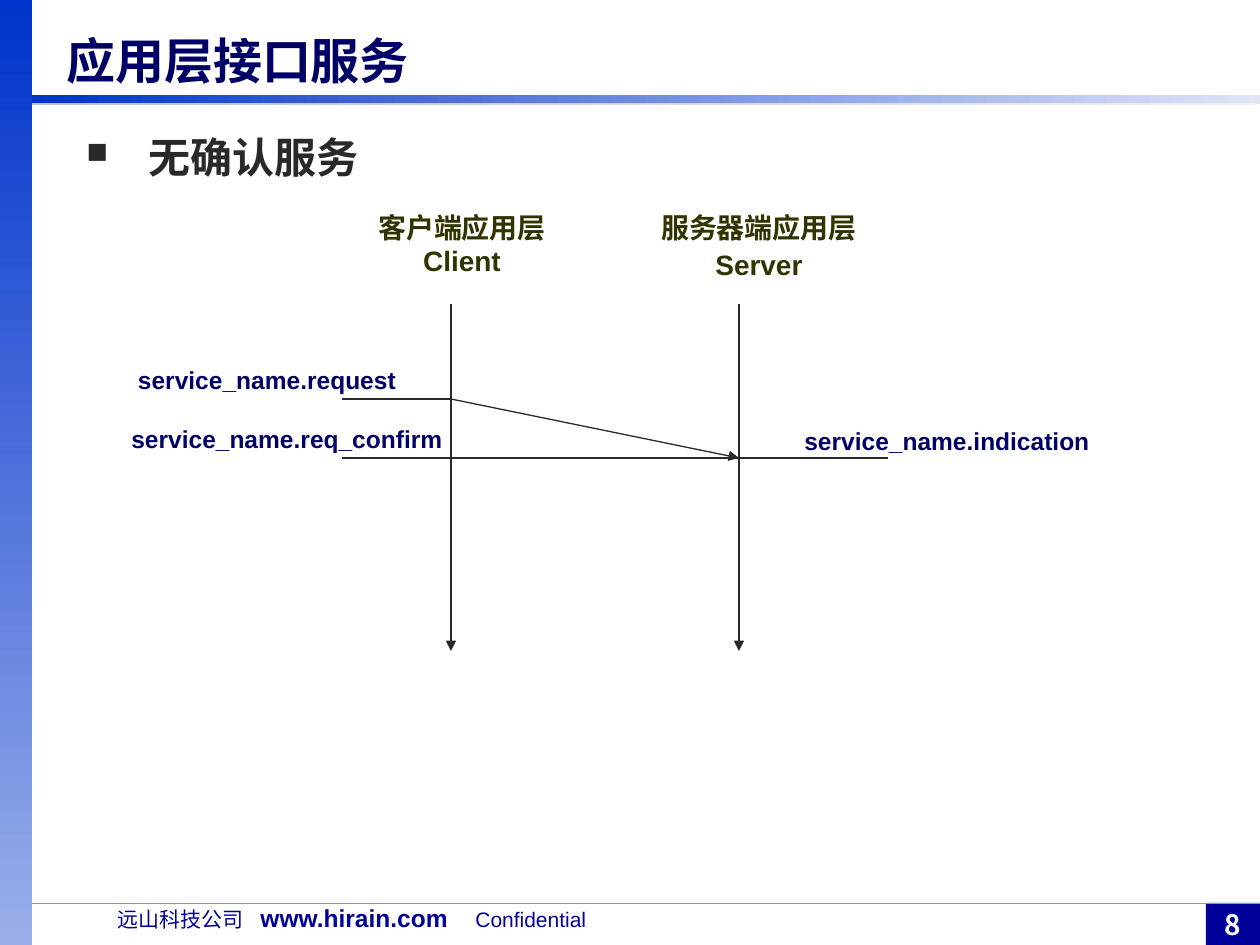
from lxml import etree
from pptx import Presentation, util as u
from pptx.dml.color import RGBColor
from pptx.enum import shapes, text
from pptx.oxml import parse_xml
from pptx.oxml.ns import nsdecls, qn

PX = 914400 / 126
NAVY, BLUE, INK, OLIVE = "000066", "000099", "292929", "333300"
ALIGN, ANCHOR = text.PP_ALIGN, text.MSO_ANCHOR


def px(value):
    return u.Emu(round(value * PX))


def rgb(value):
    return RGBColor.from_string(value)


class SlideBuilder:
    latin = "Arial"
    east_asian = "Noto Sans CJK SC"

    def __init__(self, slide):
        self.slide = slide

    def style(self, font, size, color, bold, face=None):
        font.size, font.bold = u.Pt(size), bold
        font.color.rgb = rgb(color)
        font.name = face or self.latin
        etree.SubElement(font._rPr, qn("a:ea")).set("typeface", self.east_asian)

    def rect(self, box, *colors, angle=0):
        rect = self.slide.shapes.add_shape(
            shapes.MSO_SHAPE.RECTANGLE, *map(px, box))
        rect.shadow.inherit = False
        rect.line.fill.background()
        if len(colors) == 1:
            rect.fill.solid()
            rect.fill.fore_color.rgb = rgb(colors[0])
        else:
            rect.fill.gradient()
            rect.fill.gradient_angle = angle
            for stop, color in zip(rect.fill.gradient_stops, colors):
                stop.color.rgb = rgb(color)
        return rect

    def frame(self, box, anchor=ANCHOR.TOP):
        frame = self.slide.shapes.add_textbox(*map(px, box)).text_frame
        frame.word_wrap = True
        frame.vertical_anchor = anchor
        return frame

    def label(self, box, lines, size, color, align=ALIGN.CENTER,
              anchor=ANCHOR.TOP):
        frame = self.frame(box, anchor)
        for i, line in enumerate(lines):
            paragraph = frame.paragraphs[0] if i == 0 else frame.add_paragraph()
            paragraph.text = line
            paragraph.alignment = align
            if i:
                paragraph.space_before = u.Pt(2)
            self.style(paragraph.font, size, color, True)

    def bullet(self, box, line, size, color, indent):
        paragraph = self.frame(box).paragraphs[0]
        paragraph.text = line
        props = paragraph._p.get_or_add_pPr()
        props.set("marL", str(px(indent)))
        props.set("indent", str(px(-indent)))
        for mark in (f'<a:buClr {nsdecls("a")}><a:srgbClr val="{color}"/></a:buClr>',
                     f'<a:buSzPct {nsdecls("a")} val="70000"/>',
                     f'<a:buChar {nsdecls("a")} char="■"/>'):
            props.append(parse_xml(mark))
        self.style(paragraph.font, size, color, True)

    def tabbed(self, box, parts, color, stops):
        paragraph = self.frame(box).paragraphs[0]
        paragraph.line_spacing = 0.8
        tabs = etree.SubElement(paragraph._p.get_or_add_pPr(), qn("a:tabLst"))
        for stop in stops:
            etree.SubElement(tabs, qn("a:tab"), pos=str(px(stop)), algn="l")
        for part, size, bold in parts:
            run = paragraph.add_run()
            run.text = part
            self.style(run.font, size, color, bold)

    def line(self, start, end, color=INK, width=0.75, arrow=False):
        line = self.slide.shapes.add_connector(
            shapes.MSO_CONNECTOR.STRAIGHT, *map(px, (*start, *end)))
        line.line.color.rgb = rgb(color)
        line.line.width = u.Pt(width)
        if arrow:
            etree.SubElement(line.line._get_or_add_ln(), qn("a:tailEnd"),
                             type="triangle")
        etree.SubElement(line._element.spPr, qn("a:effectLst"))


def main():
    deck = Presentation()
    deck.slide_width, deck.slide_height = px(1260), px(945)
    build = SlideBuilder(deck.slides.add_slide(deck.slide_layouts[6]))

    page = build.rect((1206, 903, 54, 42), BLUE).text_frame
    page.word_wrap = False
    page.vertical_anchor = ANCHOR.MIDDLE
    number = page.paragraphs[0]
    number.text = "8"
    number.alignment = ALIGN.CENTER
    build.style(number.font, 16, "FFFFFF", True, build.east_asian)

    build.rect((0, 0, 32, 945), "0033CC", "9AAEEA", angle=270)
    build.tabbed((105, 903, 662, 37),
                 [("远山科技公司", 12, False), ("\twww.hirain.com", 14, True),
                  ("\tConfidential", 12, False)], BLUE, (143, 358))
    build.line((32, 903), (1260, 903), "6699FF", 0.25)
    rule = ("0033CC", "DFE5F7")
    for box, colors in (((32, 96, 1228, 8), rule),
                        ((32, 102, 1223, 3), ("C0C0C0", "F0F0F0")),
                        ((32, 95, 1228, 8), rule)):
        build.rect(box, *colors)

    build.label((54, 27, 883, 69), ["应用层接口服务"], 28, NAVY,
                ALIGN.LEFT, ANCHOR.BOTTOM)
    build.bullet((74, 125, 1113, 714), "无确认服务", 24, INK, 62)

    client, server = 451, 739
    request, confirm = 399, 458
    for lifeline in (client, server):
        build.line((lifeline, 304), (lifeline, 651), arrow=True)
    build.line((342, request), (client, request))
    build.line((client, request), (server, confirm), arrow=True)
    build.line((342, confirm), (888, confirm))

    for box, lines in (((353, 204, 218, 81), ["客户端应用层Client"]),
                       ((620, 204, 278, 83), ["服务器端应用层", "Server"])):
        build.label(box, lines, 16, OLIVE)
    for box, service in (((113, 359, 308, 43), "request"),
                         ((113, 418, 348, 43), "req_confirm"),
                         ((779, 420, 336, 43), "indication")):
        build.label(box, [f"service_name.{service}"], 14, NAVY)

    deck.save("out.pptx")


if __name__ == "__main__":
    main()
